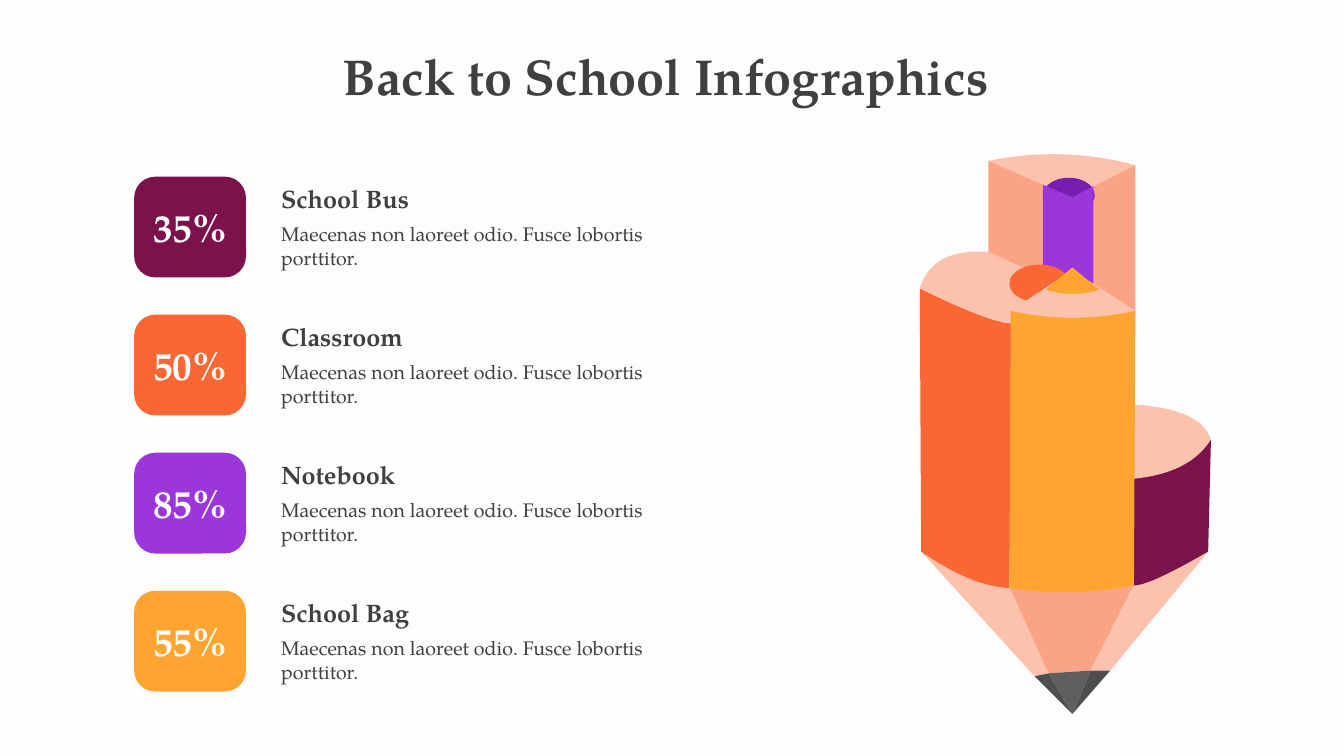
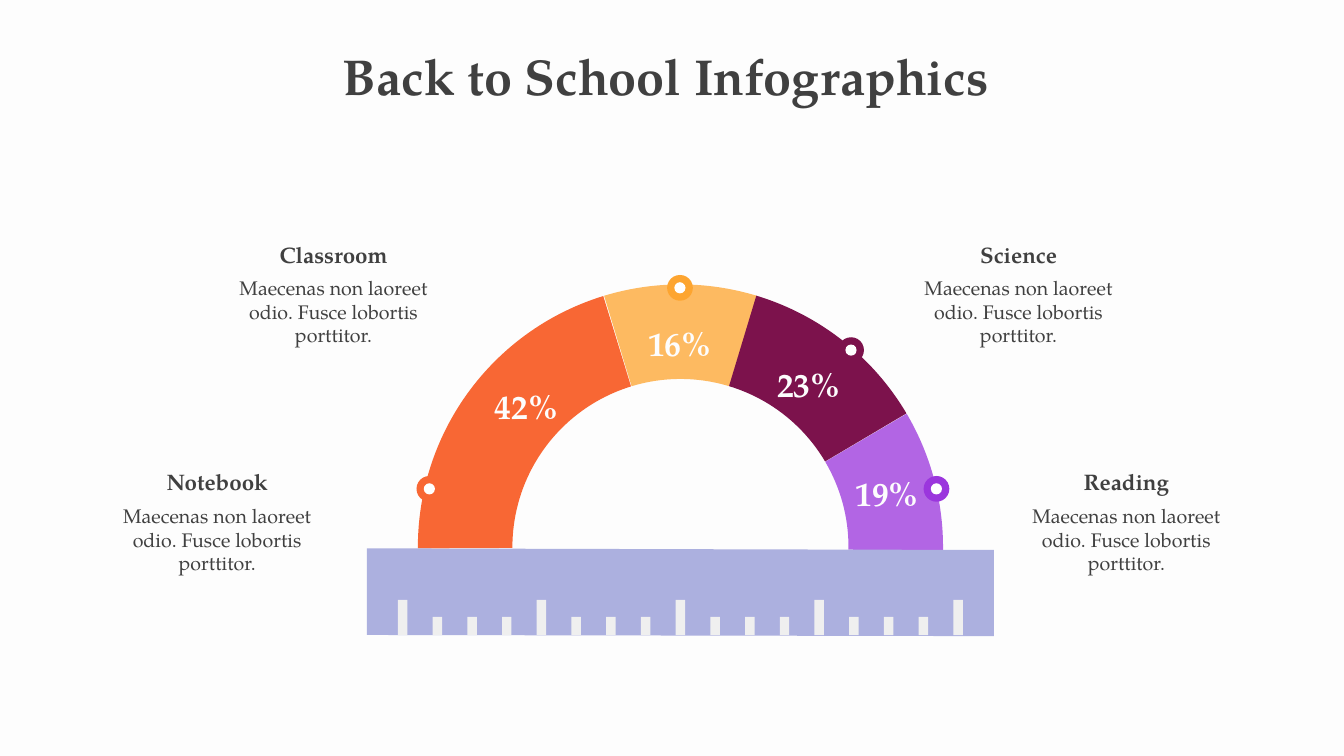
from lxml import etree
from pptx import Presentation
from pptx import util as u
from pptx.dml.color import RGBColor
from pptx.enum import shapes, text
from pptx.oxml.ns import qn

FONT = "TeX Gyre Pagella"
INK, PAPER, WHITE = "404040", "FDFDFD", "FFFFFF"
PLUM, ORANGE, VIOLET, AMBER = "7C124C", "F86734", "9B36DD", "FDA530"
DARK_VIOLET, PEACH, SALMON = "761EB0", "FCC2AE", "FBA485"
LEAD, DARK_LEAD = "5E5E5E", "4E4E4E"
RULER, TICK = "ACB0DF", "EFEFEF"
BODY = "Maecenas non laoreet odio. Fusce lobortis porttitor."
LEFT, CENTER = text.PP_ALIGN.LEFT, text.PP_ALIGN.CENTER
CURVE_STEPS = 16


def paint(shape, color, opacity=100):
    shape.shadow.inherit = False
    shape.line.fill.background()
    shape.fill.solid()
    shape.fill.fore_color.rgb = RGBColor.from_string(color)
    if opacity < 100:
        color_node = shape.element.spPr.find(qn("a:solidFill"))[0]
        etree.SubElement(color_node, qn("a:alpha"), val=str(opacity * 1000))


def write(shape, lines, color=INK, alignment=CENTER, space_before=0):
    frame = shape.text_frame
    frame.word_wrap = True
    for index, (words, size, bold) in enumerate(lines):
        paragraph = frame.add_paragraph() if index else frame.paragraphs[0]
        paragraph.text = words
        paragraph.alignment = alignment
        paragraph.space_before = u.Pt(space_before)
        paragraph.font.name = FONT
        paragraph.font.size = u.Pt(size)
        paragraph.font.bold = bold
        paragraph.font.color.rgb = RGBColor.from_string(color)


presentation = Presentation()
presentation.slide_width = u.Pt(960)
presentation.slide_height = u.Pt(540)
background = presentation.slide_master.background.fill
background.solid()
background.fore_color.rgb = RGBColor.from_string(PAPER)

for _ in range(2):
    slide = presentation.slides.add_slide(presentation.slide_layouts[6])
    title = slide.shapes.add_textbox(u.Pt(0), u.Pt(28.8), u.Pt(960), u.Pt(51))
    write(title, [("Back to School Infographics ", 36, True)])
pencil_slide, protractor_slide = presentation.slides

wood_rim = [(658, 394), (721, 419), (810, 418), (863, 394)]
lead_rim = [(739, 483), (749, 481), (779, 479), (793, 479)]
tip = (766, 510)
pencil_parts = []
for side, (wood, lead) in enumerate([(PEACH, DARK_LEAD), (SALMON, LEAD), (PEACH, DARK_LEAD)]):
    near, far = lead_rim[side:side + 2]
    pencil_parts += [(wood, [*wood_rim[side:side + 2], far, near]), (lead, [near, far, tip])]

pencil_parts += [
    (PLUM, [(809, 418), (818, 420, 863, 394), (865, 314), (810, 335)]),
    (PEACH, [(810, 342), (850, 338, 865, 314), (858, 292, 810, 289)]),
    (SALMON, [(706, 115), (706, 189), (762, 212), (811, 226), (811, 118)]),
    (PEACH, [(811, 118), (759, 104, 706, 115), (766, 141)]),
    (ORANGE, [(657, 206), (708, 231, 723, 231), (721, 420), (694, 419, 658, 394)]),
    (PEACH, [(657, 206), (666, 177, 706, 180), (760, 204), (723, 231), (708, 231, 657, 206)]),
    (DARK_VIOLET, (745, 127, 37, 25)),
    (VIOLET, [(745, 132), (745, 197), (756, 202), (781, 204), (781, 133), (766, 141)]),
    (ORANGE, (721, 189, 43, 27)),
    (AMBER, [(722, 222), (721, 420), (766, 427, 810, 418), (811, 222)]),
    (PEACH, [(766, 193), (722, 222), (766, 232, 811, 222)]),
    (AMBER, [(766, 191), (747, 207), (766, 213, 785, 207)]),
]
pencil = pencil_slide.shapes.add_group_shape()
for color, outline in pencil_parts:
    if isinstance(outline, tuple):
        part = pencil.shapes.add_shape(shapes.MSO_SHAPE.OVAL, *map(u.Pt, outline))
    else:
        points = outline[:1]
        for *control, end_x, end_y in outline[1:]:
            if control:
                start_x, start_y = points[-1]
                for index in range(1, CURVE_STEPS):
                    t = index / CURVE_STEPS
                    a, b, c = (1 - t) ** 2, 2 * t * (1 - t), t * t
                    points.append((a * start_x + b * control[0] + c * end_x,
                                   a * start_y + b * control[1] + c * end_y))
            points.append((end_x, end_y))
        corners = [(u.Pt(x), u.Pt(y)) for x, y in points]
        builder = pencil.shapes.build_freeform(*corners[0])
        builder.add_line_segments(corners[1:])
        part = builder.convert_to_shape()
    paint(part, color)

cards = [("35%", "School Bus", PLUM), ("50%", "Classroom", ORANGE),
         ("85%", "Notebook", VIOLET), ("55%", "School Bag", AMBER)]
for row, (percent, heading, color) in enumerate(cards):
    top = 126.2 + 98.6 * row
    card = pencil_slide.shapes.add_shape(
        shapes.MSO_SHAPE.ROUNDED_RECTANGLE, u.Pt(95.8), u.Pt(top), u.Pt(79.9), u.Pt(72))
    card.adjustments[0] = 0.21
    paint(card, color)
    write(card, [(percent, 28, True)], PAPER)
    caption = pencil_slide.shapes.add_textbox(
        u.Pt(193.7), u.Pt(top + 1.3), u.Pt(329.8), u.Pt(69.1))
    write(caption, [(heading, 18, True), (BODY, 14, False)], INK, LEFT, 6)

arcs = [(253.1, 286.9, AMBER, 76), (179.7, 252.9, ORANGE, 100),
        (329.5, 0.9, VIOLET, 76), (286.8, 329.4, PLUM, 100)]
for start, end, color, opacity in arcs:
    arc = protractor_slide.shapes.add_shape(
        shapes.MSO_SHAPE.BLOCK_ARC, u.Pt(298.5), u.Pt(203.2), u.Pt(375.1), u.Pt(375.1))
    for index, adjustment in enumerate([start * 0.6, end * 0.6, 0.18]):
        arc.adjustments[index] = adjustment
    paint(arc, color, opacity)

builder = protractor_slide.shapes.build_freeform(u.Pt(262), u.Pt(391.7))
builder.add_line_segments([(u.Pt(x), u.Pt(y)) for x, y in
                           [(262, 453.6), (710, 454.4), (710, 392.9)]])
paint(builder.convert_to_shape(), RULER)

for index in range(17):
    height = 13 if index % 4 else 25.2
    tick = protractor_slide.shapes.add_shape(
        shapes.MSO_SHAPE.RECTANGLE, u.Pt(284.2 + 24.8 * index), u.Pt(453.6 - height),
        u.Pt(6.8), u.Pt(height))
    paint(tick, TICK)

markers = [(306.7, 349.2, ORANGE), (607.9, 250.1, PLUM),
           (485.7, 205.6, AMBER), (668.9, 349.2, VIOLET)]
for x, y, color in markers:
    for diameter, fill in [(18.4, color), (8, WHITE)]:
        dot = protractor_slide.shapes.add_shape(
            shapes.MSO_SHAPE.OVAL, u.Pt(x - diameter / 2), u.Pt(y - diameter / 2),
            u.Pt(diameter), u.Pt(diameter))
        paint(dot, fill)

shares = [("42%", 376.2, 261.4), ("23%", 577.8, 246.2),
          ("16%", 485.6, 216.7), ("19%", 633.6, 324)]
for percent, center, top in shares:
    label = protractor_slide.shapes.add_textbox(
        u.Pt(center - 36), u.Pt(top), u.Pt(72), u.Pt(56.9))
    label.text_frame.vertical_anchor = text.MSO_ANCHOR.MIDDLE
    write(label, [(percent, 24, True)], PAPER)

captions = [("Classroom", 238.3, 168.5), ("Science", 727.6, 168.5),
            ("Notebook", 155.2, 331.2), ("Reading", 804.6, 331.2)]
for heading, center, top in captions:
    caption = protractor_slide.shapes.add_textbox(
        u.Pt(center - 87.5), u.Pt(top), u.Pt(175), u.Pt(83.5))
    write(caption, [(heading, 16, True), (BODY, 14, False)], space_before=6)

presentation.save("out.pptx")
